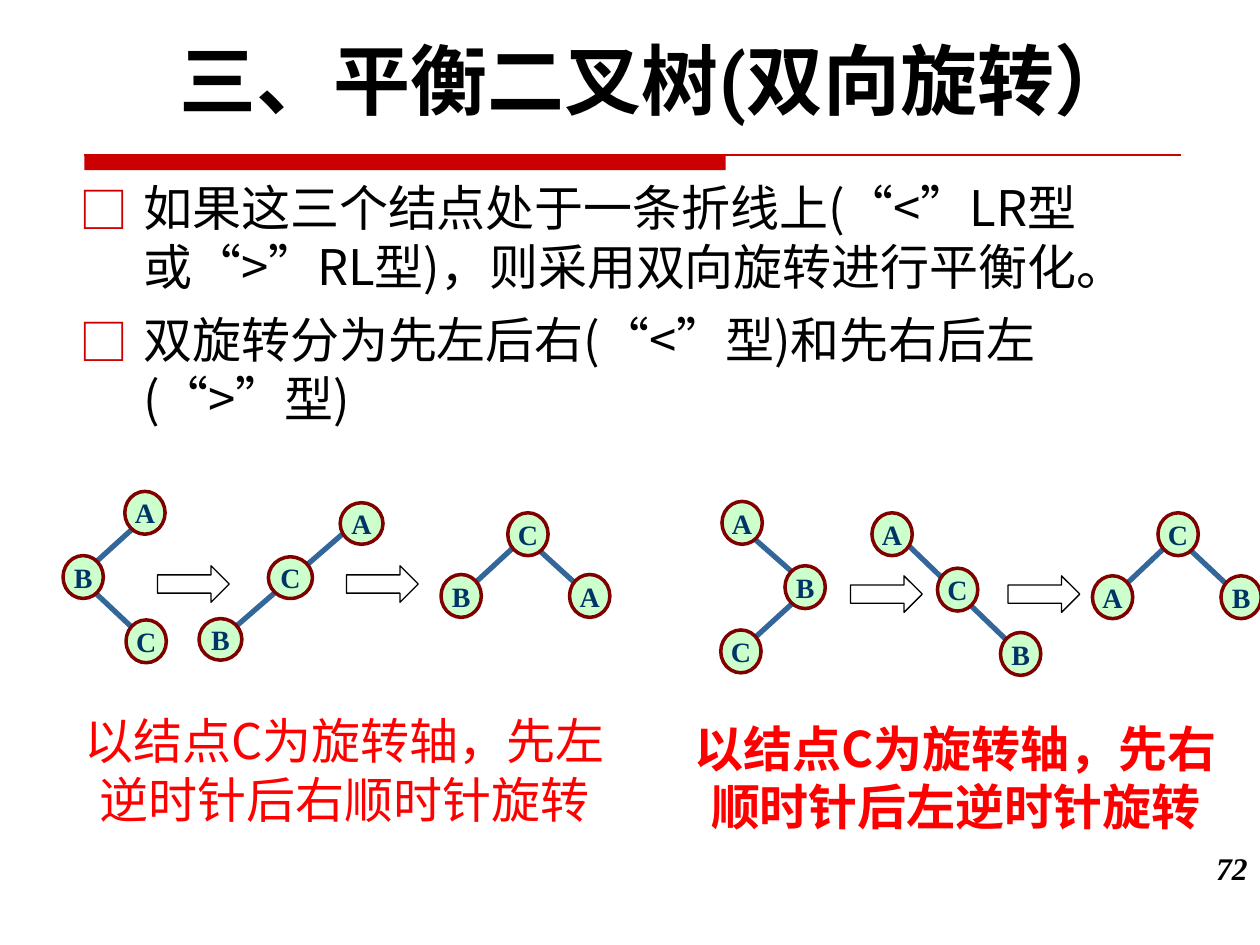
from dataclasses import dataclass
from itertools import groupby

from lxml import etree
from pptx import Presentation
from pptx.dml.color import RGBColor
from pptx.enum import shapes, text
from pptx.oxml import ns
from pptx.util import Inches, Pt


@dataclass(frozen=True)
class Theme:
    black: str = "000000"
    accent: str = "CC0000"
    caption: str = "FF0000"
    node_fill: str = "CCFFCC"
    node_line: str = "800000"
    node_text: str = "003366"
    edge: str = "336699"
    heading_font: str = "Roboto"
    cjk_font: str = "Noto Sans CJK SC"
    serif_font: str = "Times New Roman"
    heading_size: int = 44
    body_size: int = 28
    page_size: int = 18
    node_size: int = 16


@dataclass(frozen=True)
class Node:
    label: str
    left: float
    top: float
    width: float = 0.32
    height: float = 0.34


@dataclass(frozen=True)
class Edge:
    x1: float
    y1: float
    x2: float
    y2: float


@dataclass(frozen=True)
class Tree:
    edges: tuple[Edge, ...]
    nodes: tuple[Node, ...]


@dataclass(frozen=True)
class Caption:
    wording: str
    left: float
    top: float
    bold: bool


THEME = Theme()

TREES = (
    Tree((Edge(0.74, 4.48, 1.06, 4.19), Edge(0.74, 4.69, 1.08, 5.01)),
         (Node("A", 0.99, 3.9), Node("B", 0.5, 4.41), Node("C", 1, 4.92))),
    Tree((Edge(2.74, 4.22, 1.84, 5),),
         (Node("A", 2.7, 3.99, 0.34, 0.33), Node("B", 1.58, 4.91, 0.34, 0.33),
          Node("C", 2.13, 4.42, 0.35, 0.33))),
    Tree((Edge(4.07, 4.35, 3.69, 4.7), Edge(4.26, 4.35, 4.6, 4.66)),
         (Node("C", 4.03, 4.07), Node("B", 3.5, 4.56), Node("A", 4.52, 4.56))),
    Tree((Edge(6.31, 4.56, 5.98, 4.27), Edge(6.31, 4.77, 5.96, 5.09)),
         (Node("A", 5.73, 3.98), Node("B", 6.23, 4.49), Node("C", 5.72, 5))),
    Tree((Edge(7.2, 4.32, 8.02, 5.11),),
         (Node("A", 6.92, 4.07), Node("C", 7.44, 4.51), Node("B", 7.94, 5.02))),
    Tree((Edge(9.24, 4.35, 8.86, 4.71), Edge(9.43, 4.35, 9.77, 4.67)),
         (Node("C", 9.19, 4.07), Node("A", 8.67, 4.57), Node("B", 9.69, 4.57))),
)

ARROWS = ((1.25, 4.49), (2.75, 4.49), (6.75, 4.57), (8, 4.57))

CAPTIONS = (
    Caption("以结点C为旋转轴，先左逆时针后右顺时针旋转", 0.55, 5.59, False),
    Caption("以结点C为旋转轴，先右顺时针后左逆时针旋转", 5.4, 5.65, True),
)

RULES_TEXT = (
    "如果这三个结点处于一条折线上(“<”LR型或“>”RL型)，则采用双向旋转进行平衡化。",
    "双旋转分为先左后右(“<”型)和先右后左(“>”型)",
)


def rgb(value: str) -> RGBColor:
    return RGBColor.from_string(value)


def style_run(run, font: str, size: int, color: str, bold: bool = False,
              italic: bool = False, east_asian: str = "") -> None:
    run.font.size = Pt(size)
    run.font.bold = bold
    run.font.italic = italic
    run.font.color.rgb = rgb(color)
    run.font.name = font
    etree.SubElement(run.font._element, ns.qn("a:ea"), typeface=east_asian or font)


def add_box(parent, left: float, top: float, width: float, height: float):
    frame = parent.add_textbox(Inches(left), Inches(top), Inches(width), Inches(height)).text_frame
    frame.word_wrap = True
    return frame


def set_line(frame, wording: str, align, **style) -> None:
    frame.text = wording
    paragraph = frame.paragraphs[0]
    paragraph.alignment = align
    style_run(paragraph.runs[0], **style)


def add_stroke(parent, edge: Edge, color: str, weight: float) -> None:
    stroke = parent.add_connector(shapes.MSO_CONNECTOR.STRAIGHT, Inches(edge.x1), Inches(edge.y1),
                                  Inches(edge.x2), Inches(edge.y2))
    stroke.line.color.rgb = rgb(color)
    stroke.line.width = Pt(weight)
    etree.SubElement(stroke._element.spPr, ns.qn("a:effectLst"))


def add_node(parent, node: Node) -> None:
    circle = parent.add_shape(shapes.MSO_SHAPE.OVAL, Inches(node.left), Inches(node.top),
                              Inches(node.width), Inches(node.height))
    circle.shadow.inherit = False
    circle.fill.solid()
    circle.fill.fore_color.rgb = rgb(THEME.node_fill)
    circle.line.color.rgb = rgb(THEME.node_line)
    circle.line.width = Pt(2)
    frame = circle.text_frame
    frame.word_wrap = False
    frame.vertical_anchor = text.MSO_ANCHOR.MIDDLE
    set_line(frame, node.label, text.PP_ALIGN.CENTER, font=THEME.serif_font,
             size=THEME.node_size, color=THEME.node_text, bold=True)


def add_tree(parent, tree: Tree) -> None:
    group = parent.add_group_shape().shapes
    for edge in tree.edges:
        add_stroke(group, edge, THEME.edge, 3)
    for node in tree.nodes:
        add_node(group, node)


def add_arrow(parent, left: float, top: float) -> None:
    arrow = parent.add_shape(shapes.MSO_SHAPE.RIGHT_ARROW, Inches(left), Inches(top),
                             Inches(0.57), Inches(0.29))
    arrow.shadow.inherit = False
    arrow.fill.background()
    arrow.line.color.rgb = rgb(THEME.black)
    arrow.line.width = Pt(0.75)


def add_bullet(paragraph, wording: str) -> None:
    props = paragraph._p.get_or_add_pPr()
    props.set("marL", str(Inches(0.51)))
    props.set("indent", str(-Inches(0.51)))
    color = etree.SubElement(props, ns.qn("a:buClr"))
    etree.SubElement(color, ns.qn("a:srgbClr"), val=THEME.accent)
    etree.SubElement(props, ns.qn("a:buFont"), typeface=THEME.cjk_font)
    etree.SubElement(props, ns.qn("a:buChar"), char="□")
    for quoted, letters in groupby(wording, lambda letter: letter in "“”"):
        run = paragraph.add_run()
        run.text = "".join(letters)
        style_run(run, THEME.serif_font if quoted else THEME.cjk_font, THEME.body_size,
                  THEME.black, east_asian=THEME.cjk_font)


def add_heading(slide) -> None:
    heading = slide.shapes.title
    heading.left, heading.top = Inches(0.58), Inches(0.21)
    heading.width, heading.height = Inches(9.25), Inches(0.84)
    frame = heading.text_frame
    frame.auto_size = text.MSO_AUTO_SIZE.NONE
    frame.vertical_anchor = text.MSO_ANCHOR.TOP
    set_line(frame, "三、平衡二叉树(双向旋转）", text.PP_ALIGN.CENTER, font=THEME.heading_font,
             size=THEME.heading_size, color=THEME.black, bold=True)


def add_divider(parent) -> None:
    bar = parent.add_shape(shapes.MSO_SHAPE.RECTANGLE, Inches(0.67), Inches(1.23),
                           Inches(5.09), Inches(0.12))
    bar.shadow.inherit = False
    bar.fill.solid()
    bar.fill.fore_color.rgb = rgb(THEME.accent)
    bar.line.fill.background()
    add_stroke(parent, Edge(0.67, 1.23, 9.37, 1.23), THEME.accent, 0.75)


def main() -> None:
    deck = Presentation()
    deck.slide_width, deck.slide_height = Inches(10), Inches(7.5)
    slide = deck.slides.add_slide(deck.slide_layouts[5])
    canvas = slide.shapes
    add_heading(slide)
    add_divider(canvas)

    body = add_box(canvas, 0.53, 1.36, 9.58, 2.27)
    body.margin_right = Inches(0.9)
    for index, wording in enumerate(RULES_TEXT):
        paragraph = body.add_paragraph() if index else body.paragraphs[0]
        add_bullet(paragraph, wording)
        if index:
            paragraph.space_before = Pt(8.4)

    for tree in TREES:
        add_tree(canvas, tree)
    for left, top in ARROWS:
        add_arrow(canvas, left, top)
    for caption in CAPTIONS:
        set_line(add_box(canvas, caption.left, caption.top, 4.37, 1.04), caption.wording,
                 text.PP_ALIGN.CENTER, font=THEME.cjk_font, size=THEME.body_size,
                 color=THEME.caption, bold=caption.bold)
    set_line(add_box(canvas, 9.33, 6.69, 0.67, 0.5), "72", text.PP_ALIGN.RIGHT,
             font=THEME.serif_font, size=THEME.page_size, color=THEME.black,
             bold=True, italic=True)
    deck.save("out.pptx")


if __name__ == "__main__":
    main()
